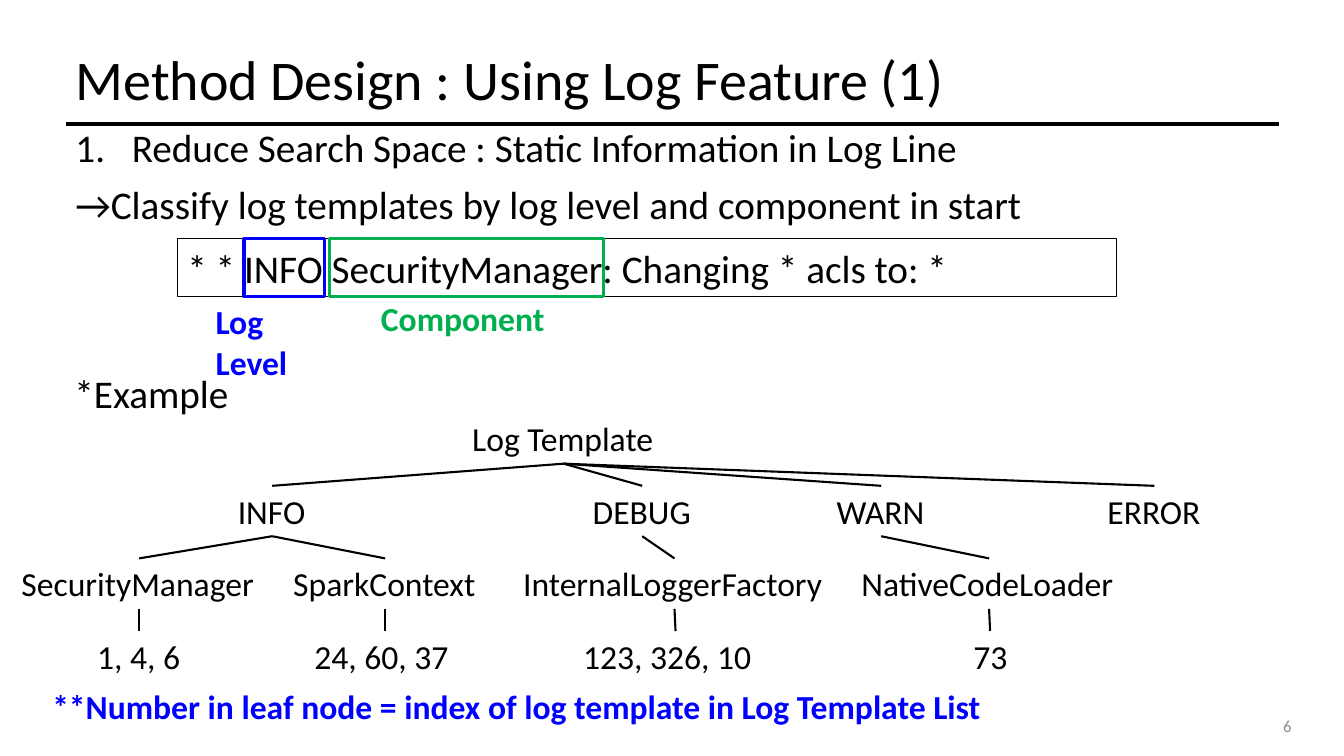
from lxml import etree
from pptx import Presentation
from pptx.dml.color import RGBColor
from pptx.enum.shapes import MSO_CONNECTOR, MSO_SHAPE
from pptx.enum.text import MSO_ANCHOR, PP_ALIGN
from pptx.oxml.ns import qn
from pptx.util import Inches, Pt

STRAIGHT = MSO_CONNECTOR.STRAIGHT
RECTANGLE = MSO_SHAPE.RECTANGLE
TOP, MIDDLE = MSO_ANCHOR.TOP, MSO_ANCHOR.MIDDLE
LEFT, RIGHT = PP_ALIGN.LEFT, PP_ALIGN.RIGHT

FONT = "Calibri"
BLACK, BLUE, GREEN, GREY = "000000", "0000FF", "00B050", "8C8C8C"
LABEL_HEIGHT = 0.5
LEVEL_STEP = 0.72

# Each node: label, centre, width, children
LOG_TREE = ("Log Template", 5.59, 2.01, [
    ("INFO", 2.7, 0.88, [
        ("SecurityManager", 1.38, 2.53, [("1, 4, 6", 1.38, 1.03, [])]),
        ("SparkContext", 3.82, 2.02, [("24, 60, 37", 3.82, 1.6, [])]),
    ]),
    ("DEBUG", 6.37, 1.18, [
        ("InternalLoggerFactory", 6.69, 3.2, [("123, 326, 10", 6.7, 2.03, [])]),
    ]),
    ("WARN", 8.74, 1.08, [
        ("NativeCodeLoader", 9.81, 2.73, [("73", 9.82, 0.53, [])]),
    ]),
    ("ERROR", 11.45, 1.13, []),
])


def color(hex_value):
    """Turn a hex string into a colour."""
    return RGBColor.from_string(hex_value)


def set_values(target, values):
    """Set attributes from a dict of format values."""
    for name, value in values.items():
        setattr(target, name, value)


def write(shape, lines, size, hex_value=BLACK, bold=False, anchor=TOP,
          paragraph_format=None):
    """Write one paragraph per line into a shape, all in one style."""
    frame = shape.text_frame
    set_values(frame, {"word_wrap": True, "vertical_anchor": anchor,
                       "margin_right": 0})
    for index, line in enumerate(lines):
        paragraph = frame.add_paragraph() if index else frame.paragraphs[0]
        set_values(paragraph, {"alignment": LEFT, **(paragraph_format or {})})
        run = paragraph.add_run()
        run.text = line
        set_values(run.font, {"name": FONT, "size": Pt(size), "bold": bold})
        run.font.color.rgb = color(hex_value)


def add_text(slide, box, lines, size, **style):
    """Add a text box at left, top, width, height."""
    shape = slide.shapes.add_textbox(*map(Inches, box))
    write(shape, lines, size, **style)
    return shape


def add_line(slide, start, end, width):
    """Add a black straight line without shadow."""
    line = slide.shapes.add_connector(STRAIGHT, *map(Inches, (*start, *end)))
    line.line.color.rgb = color(BLACK)
    line.line.width = Pt(width)
    etree.SubElement(line._element.spPr, qn("a:effectLst"))


def add_frame(slide, box, hex_value, width):
    """Add an unfilled rectangle."""
    shape = slide.shapes.add_shape(RECTANGLE, *map(Inches, box))
    shape.shadow.inherit = False
    shape.fill.background()
    shape.line.color.rgb = color(hex_value)
    shape.line.width = Pt(width)
    return shape


def add_heading(slide, box):
    """Place the title and the rule along the bottom of its box."""
    left, top, width, height = box
    title = slide.shapes.title
    set_values(title, dict(zip(("left", "top", "width", "height"),
                               map(Inches, box))))
    write(title, ["Method Design : Using Log Feature (1)"], 40, anchor=MIDDLE,
          paragraph_format={"line_spacing": 0.9})
    bottom = top + height
    add_line(slide, (left, bottom), (left + width, bottom), 2.25)


def add_body(slide, box):
    """Add the numbered point and its conclusion."""
    body = add_text(
        slide, box,
        ["Reduce Search Space : Static Information in Log Line",
         "→Classify log templates by log level and component in start"],
        28, paragraph_format={"line_spacing": 0.9, "space_before": Pt(10)})
    properties = body.text_frame.paragraphs[0]._p.get_or_add_pPr()
    properties.set("marL", str(Inches(0.56)))
    properties.set("indent", str(-Inches(0.56)))
    etree.SubElement(properties, qn("a:buFont"), typeface="+mj-lt")
    etree.SubElement(properties, qn("a:buAutoNum"), type="arabicPeriod")


def add_log_line(slide, box):
    """Add the sample log line with its level and component marked."""
    left, top, width, height = box
    log_line = add_frame(slide, box, BLACK, 0.75)
    write(log_line, ["* * INFO SecurityManager: Changing * acls to: *"], 28)
    bottom = top + height
    marks = [
        ("Log Level", BLUE, 0.66, 0.8, (left + 0.28, bottom, 1.1, 0.9)),
        ("Component", GREEN, 1.51, 2.72, (left + 1.92, bottom - 0.03, 1.84, 0.5)),
    ]
    for label, hex_value, offset, mark_width, label_box in marks:
        add_frame(slide, (left + offset, top, mark_width, height),
                  hex_value, 2.25)
        add_text(slide, label_box, [label], 24, hex_value=hex_value, bold=True)


def add_tree(slide, node, top):
    """Add a node and, one level down, its children and their links."""
    label, centre, width, children = node
    add_text(slide, (centre - width / 2, top, width, LABEL_HEIGHT), [label], 24)
    child_top = top + LEVEL_STEP
    for child in children:
        add_line(slide, (centre, top + LABEL_HEIGHT), (child[1], child_top), 1.5)
        add_tree(slide, child, child_top)


def build_slide(presentation):
    """Build the log feature slide."""
    slide = presentation.slides.add_slide(presentation.slide_layouts[5])
    add_heading(slide, (0.65, 0.4, 12.04, 0.83))
    add_body(slide, (0.65, 1.23, 12.04, 1.14))
    add_log_line(slide, (1.76, 2.37, 9.31, 0.57))
    add_text(slide, (0.64, 3.61, 1.74, 0.57), ["*Example"], 28)
    add_tree(slide, LOG_TREE, 4.1)
    add_text(slide, (0.42, 6.76, 9.59, 0.5),
             ["**Number in leaf node = index of log template in Log Template List"],
             24, hex_value=BLUE, bold=True)
    add_text(slide, (12.37, 7.05, 0.44, 0.3), ["6"], 12, hex_value=GREY,
             anchor=MIDDLE, paragraph_format={"alignment": RIGHT})


presentation = Presentation()
set_values(presentation, {"slide_width": Inches(13.33),
                          "slide_height": Inches(7.5)})
build_slide(presentation)
presentation.save("out.pptx")
